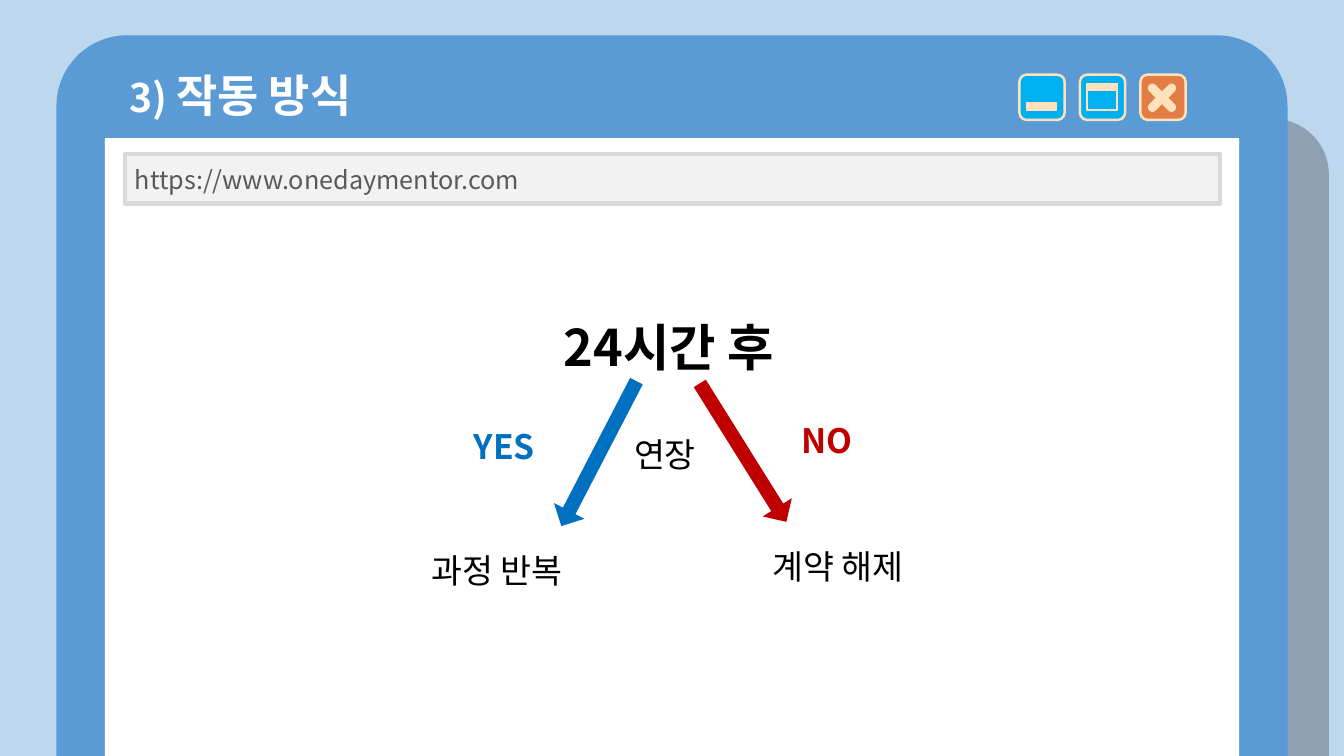
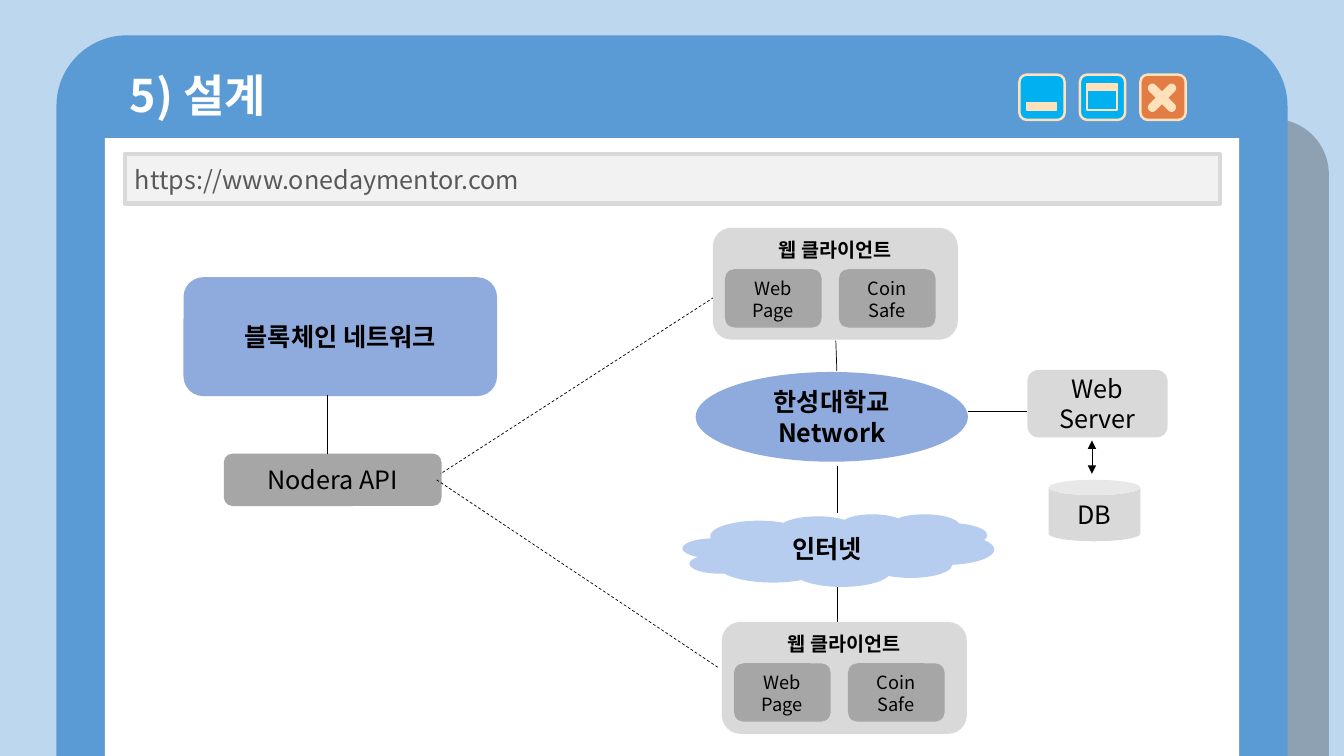
"""Build two browser-window slides: how the service works and its system design."""
from dataclasses import dataclass
from typing import Optional

from lxml.etree import SubElement
from pptx import Presentation
from pptx.dml.color import RGBColor
from pptx.enum.dml import MSO_LINE
from pptx.enum.shapes import MSO_CONNECTOR, MSO_SHAPE as Preset
from pptx.enum.text import MSO_ANCHOR as Anchor, PP_ALIGN as Align
from pptx.oxml.ns import qn
from pptx.util import Inches, Pt

FONT = "Noto Sans CJK KR"
SKY = RGBColor(0xBD, 0xD7, 0xEE)
FRAME_BLUE = RGBColor(0x5B, 0x9B, 0xD5)
BUTTON_BLUE = RGBColor(0x00, 0xB0, 0xF0)
BUTTON_ORANGE = RGBColor(0xE2, 0x7D, 0x45)
CREAM = RGBColor(0xFF, 0xE1, 0xBB)
YES_BLUE = RGBColor(0x00, 0x70, 0xC0)
NO_RED = RGBColor(0xC0, 0x00, 0x00)
NETWORK_BLUE = RGBColor(0x8F, 0xAA, 0xDC)
CLOUD_BLUE = RGBColor(0xB6, 0xCD, 0xEF)
BLACK = RGBColor(0x00, 0x00, 0x00)
WHITE = RGBColor(0xFF, 0xFF, 0xFF)
URL_FILL = RGBColor(0xF2, 0xF2, 0xF2)
URL_TEXT = RGBColor(0x59, 0x59, 0x59)
LIGHT_GREY = RGBColor(0xD9, 0xD9, 0xD9)
MID_GREY = RGBColor(0xA6, 0xA6, 0xA6)

BUTTON_TOP, BUTTON_SIZE = 0.74, 0.45
MINIMIZE_X, MAXIMIZE_X, CLOSE_X = (10.11 + 0.6 * i for i in range(3))


@dataclass(frozen=True)
class Box:
    left: float
    top: float
    width: float
    height: float


@dataclass(frozen=True)
class Span:
    text: str
    size: float
    bold: bool = False
    color: RGBColor = BLACK


@dataclass(frozen=True)
class Node:
    preset: Preset
    box: Box
    fill: RGBColor
    lines: tuple[str, ...]
    size: float = 18
    bold: bool = False
    anchor: Anchor = Anchor.MIDDLE


@dataclass(frozen=True)
class Link:
    start: tuple[float, float]
    end: tuple[float, float]
    dashed: bool = False
    arrows: bool = False


@dataclass(frozen=True)
class Label:
    box: Box
    span: Span
    align: Align = Align.LEFT


@dataclass(frozen=True)
class Branch:
    box: Box
    angle: float
    color: RGBColor


LABELS = (
    Label(Box(1.58, 3.09, 10.11, 0.7), Span("24시간 후", 36, True), Align.CENTER),
    Label(Box(6.19, 4.26, 0.89, 0.5), Span("연장", 24)),
    Label(Box(4.6, 4.18, 0.84, 0.5), Span("YES", 24, True, YES_BLUE)),
    Label(Box(7.85, 4.12, 0.84, 0.5), Span("NO", 24, True, NO_RED)),
    Label(Box(4.18, 5.41, 2.49, 0.5), Span("과정 반복", 24)),
    Label(Box(7.56, 5.37, 2.49, 0.5), Span("계약 해제", 24)),
)
BRANCHES = (
    Branch(Box(5.77, 3.69, 0.34, 1.62), 27.4, YES_BLUE),
    Branch(Box(7.2, 3.68, 0.34, 1.62), 328, NO_RED),
)
NODES = (
    Node(Preset.ROUNDED_RECTANGLE, Box(1.82, 2.75, 3.11, 1.18), NETWORK_BLUE,
         ("블록체인 네트워크",), bold=True),
    Node(Preset.CLOUD, Box(6.77, 5.1, 3.09, 0.72), CLOUD_BLUE, ("인터넷",), bold=True),
    Node(Preset.OVAL, Box(6.9, 3.69, 2.7, 0.89), NETWORK_BLUE,
         ("한성대학교", "Network"), bold=True),
    Node(Preset.ROUNDED_RECTANGLE, Box(2.22, 4.5, 2.16, 0.52), MID_GREY, ("Nodera API",)),
    Node(Preset.ROUNDED_RECTANGLE, Box(10.19, 3.67, 1.39, 0.67), LIGHT_GREY,
         ("Web Server",)),
    Node(Preset.CAN, Box(10.4, 4.76, 0.91, 0.61), LIGHT_GREY, ("DB",)),
)
LINKS = (
    Link((8.31, 5.09), (8.31, 4.62)),
    Link((8.31, 6.31), (8.31, 5.82)),
    Link((8.3, 3.68), (8.29, 3.38)),
    Link((3.25, 4.5), (3.25, 3.92)),
    Link((9.6, 4.08), (10.19, 4.08)),
    Link((10.83, 4.37), (10.83, 4.7), arrows=True),
    Link((7.08, 2.95), (4.37, 4.7), dashed=True),
    Link((7.12, 6.62), (4.33, 4.76), dashed=True),
)
CLIENT_ORIGINS = ((7.16, 6.17), (7.07, 2.26))
CLIENT_PARTS = (("Web", "Page"), ("Coin", "Safe"))


def write(frame, paragraphs: list[list[Span]], align: Align, anchor: Anchor) -> None:
    """Fill a text frame with styled runs."""
    frame.word_wrap = True
    frame.vertical_anchor = anchor
    for index, spans in enumerate(paragraphs):
        paragraph = frame.add_paragraph() if index else frame.paragraphs[0]
        paragraph.alignment = align
        for span in spans:
            run = paragraph.add_run()
            run.text = span.text
            run.font.size = Pt(span.size)
            run.font.bold = span.bold
            run.font.color.rgb = span.color
            run.font.name = FONT
            SubElement(run.font._element, qn("a:ea"), typeface=FONT)


def place(box: Box) -> tuple:
    """Convert a box to lengths."""
    return Inches(box.left), Inches(box.top), Inches(box.width), Inches(box.height)


def draw_shape(slide, preset: Preset, box: Box, fill: RGBColor,
               line: Optional[RGBColor] = None, weight: float = 1,
               adjust: tuple[float, ...] = (), angle: float = 0):
    """Draw a flat preset shape."""
    shape = slide.shapes.add_shape(preset, *place(box))
    shape.shadow.inherit = False
    shape.fill.solid()
    shape.fill.fore_color.rgb = fill
    if line is None:
        shape.line.fill.background()
    else:
        shape.line.color.rgb = line
        shape.line.width = Pt(weight)
    for index, value in enumerate(adjust):
        shape.adjustments[index] = value
    shape.rotation = angle
    return shape


def draw_node(slide, node: Node) -> None:
    """Draw a shape with centred text."""
    shape = draw_shape(slide, node.preset, node.box, node.fill)
    paragraphs = [[Span(line, node.size, node.bold)] for line in node.lines]
    write(shape.text_frame, paragraphs, Align.CENTER, node.anchor)


def draw_link(slide, link: Link) -> None:
    """Draw a thin line between two nodes."""
    connector = slide.shapes.add_connector(
        MSO_CONNECTOR.STRAIGHT, *(Inches(value) for value in link.start + link.end))
    connector.line.color.rgb = BLACK
    connector.line.width = Pt(0.5)
    if link.dashed:
        connector.line.dash_style = MSO_LINE.DASH
    if link.arrows:
        for end in ("a:headEnd", "a:tailEnd"):
            SubElement(connector.line._get_or_add_ln(), qn(end), type="triangle")
    SubElement(connector._element.spPr, qn("a:effectLst"))


def draw_label(slide, label: Label) -> None:
    """Draw one line of free text."""
    frame = slide.shapes.add_textbox(*place(label.box)).text_frame
    write(frame, [[label.span]], label.align, Anchor.TOP)


def draw_buttons(slide) -> None:
    """Draw the minimize, maximize and close buttons."""
    for left, fill in ((MINIMIZE_X, BUTTON_BLUE), (MAXIMIZE_X, BUTTON_BLUE),
                       (CLOSE_X, BUTTON_ORANGE)):
        draw_shape(slide, Preset.ROUNDED_RECTANGLE,
                   Box(left, BUTTON_TOP, BUTTON_SIZE, BUTTON_SIZE), fill, CREAM, 1.75)
    for left, top, height, fill in ((MINIMIZE_X, 1.02, 0.07, CREAM),
                                    (MAXIMIZE_X, 0.9, 0.19, BUTTON_BLUE),
                                    (MAXIMIZE_X, 0.83, 0.07, CREAM)):
        draw_shape(slide, Preset.RECTANGLE, Box(left + 0.07, top, 0.3, height), fill, CREAM)
    for angle in (45, 315):
        draw_shape(slide, Preset.ROUNDED_RECTANGLE, Box(CLOSE_X + 0.17, 0.79, 0.09, 0.36),
                   CREAM, adjust=(0.5,), angle=angle)


def add_window(deck, title: list[Span]):
    """Add a slide with the browser window, its title and address bar."""
    slide = deck.slides.add_slide(deck.slide_layouts[6])
    slide.background.fill.solid()
    slide.background.fill.fore_color.rgb = SKY
    shade = draw_shape(slide, Preset.ROUND_2_SAME_RECTANGLE, Box(10.33, 1.18, 2.85, 6.32),
                       BLACK, adjust=(0.193, 0))
    shade_color = shade._element.spPr.find(qn("a:solidFill")).find(qn("a:srgbClr"))
    SubElement(shade_color, qn("a:alpha"), val="25000")
    window = draw_shape(slide, Preset.ROUND_2_SAME_RECTANGLE, Box(0.56, 0.35, 12.21, 7.15),
                        FRAME_BLUE, adjust=(0.098, 0))
    window.text_frame.margin_left = Inches(0.52)
    window.text_frame.margin_top = Inches(0.12)
    write(window.text_frame, [title], Align.LEFT, Anchor.TOP)
    draw_shape(slide, Preset.RECTANGLE, Box(1.04, 1.37, 11.25, 6.13), WHITE)
    draw_buttons(slide)
    address = draw_shape(slide, Preset.RECTANGLE, Box(1.24, 1.53, 10.86, 0.49),
                         URL_FILL, LIGHT_GREY, 3)
    write(address.text_frame, [[Span("https://www.onedaymentor.com", 18, color=URL_TEXT)]],
          Align.LEFT, Anchor.MIDDLE)
    return slide


def draw_client(slide, left: float, top: float) -> None:
    """Draw a web client with its two parts."""
    draw_node(slide, Node(Preset.ROUNDED_RECTANGLE, Box(left, top, 2.43, 1.11), LIGHT_GREY,
                          ("웹 클라이언트",), 14, True, Anchor.TOP))
    for index, lines in enumerate(CLIENT_PARTS):
        box = Box(left + 0.12 + 1.13 * index, top + 0.41, 0.96, 0.58)
        draw_node(slide, Node(Preset.ROUNDED_RECTANGLE, box, MID_GREY, lines, 13,
                              anchor=Anchor.TOP))


def add_operation_slide(deck) -> None:
    """Add the slide on what happens after a day."""
    slide = add_window(deck, [Span("3) ", 28, True, WHITE), Span("작동 방식", 32, True, WHITE)])
    for label in LABELS:
        draw_label(slide, label)
    for branch in BRANCHES:
        draw_shape(slide, Preset.DOWN_ARROW, branch.box, branch.color,
                   adjust=(0.413, 0.5), angle=branch.angle)


def add_design_slide(deck) -> None:
    """Add the system design slide."""
    slide = add_window(deck, [Span("5) 설계", 32, True, WHITE)])
    for node in NODES:
        draw_node(slide, node)
    for link in LINKS:
        draw_link(slide, link)
    for origin in CLIENT_ORIGINS:
        draw_client(slide, *origin)


def main() -> None:
    """Build and save the deck."""
    deck = Presentation()
    deck.slide_width, deck.slide_height = Inches(13.33), Inches(7.5)
    add_operation_slide(deck)
    add_design_slide(deck)
    deck.save("out.pptx")


if __name__ == "__main__":
    main()
